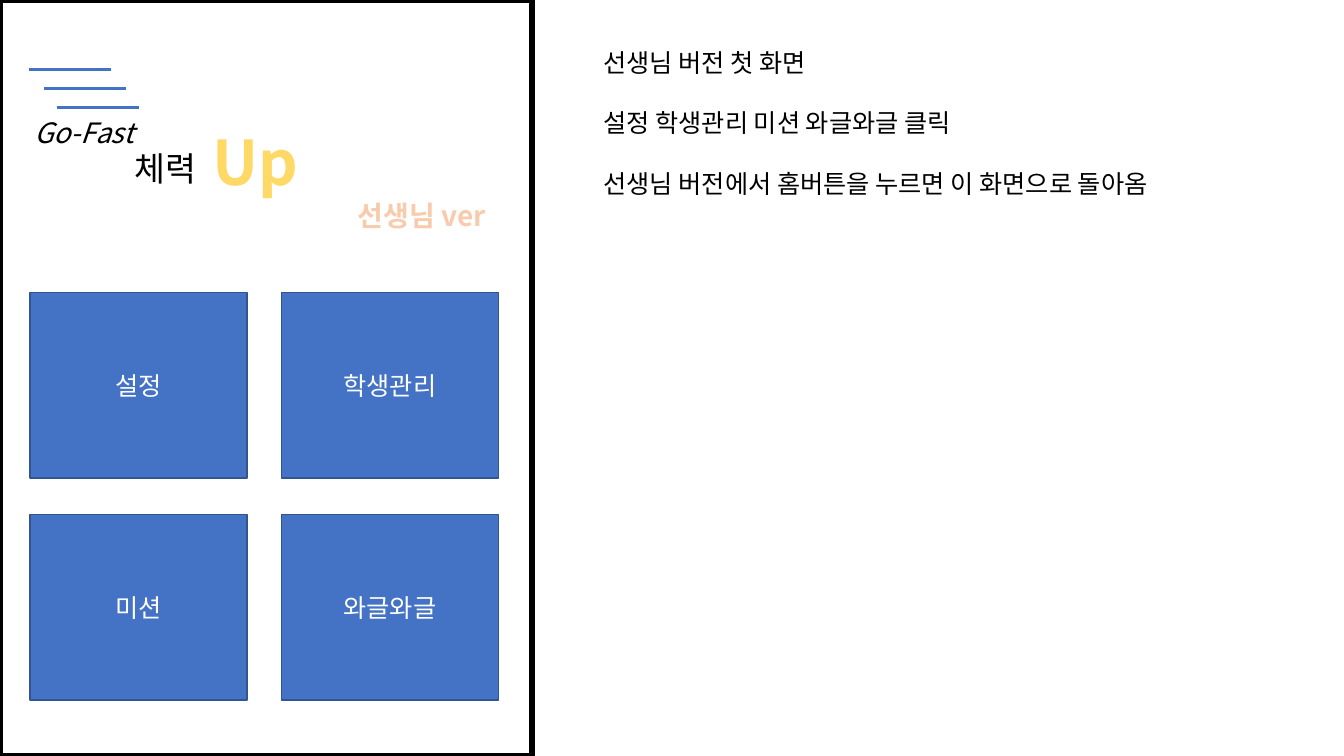
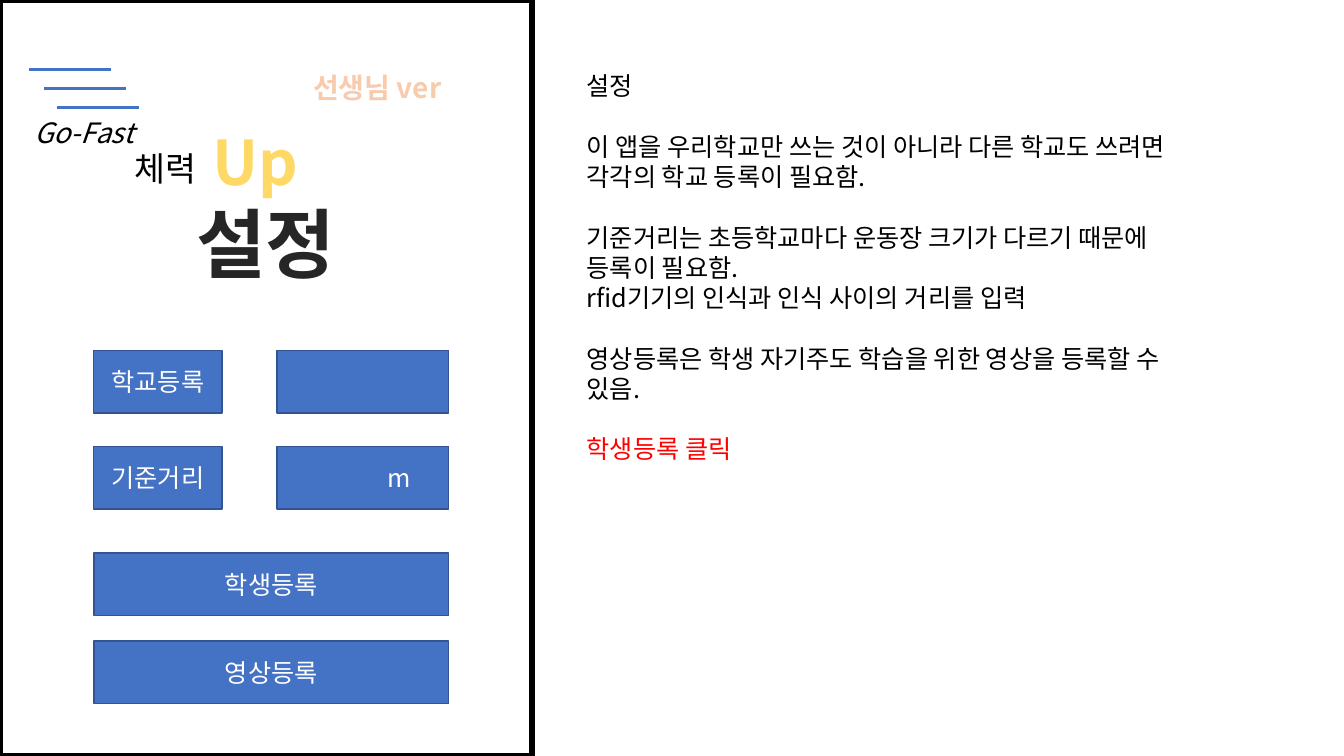
import pptx
import pptx.dml.color
import pptx.enum.shapes
import pptx.enum.text
import pptx.oxml
import pptx.oxml.ns
import pptx.util
from lxml import etree

Pt = pptx.util.Pt
RGBColor = pptx.dml.color.RGBColor
ALIGN = pptx.enum.text.PP_ALIGN
ANCHOR = pptx.enum.text.MSO_ANCHOR
RECTANGLE = pptx.enum.shapes.MSO_SHAPE.RECTANGLE
STRAIGHT = pptx.enum.shapes.MSO_CONNECTOR.STRAIGHT
qn = pptx.oxml.ns.qn

FONT = "Noto Sans CJK KR"
COLORS = {
    "black": "000000",
    "white": "FFFFFF",
    "blue": "4472C4",
    "blue_edge": "325491",
    "yellow": "FFD966",
    "peach": "F8CBAD",
    "dark": "262626",
    "red": "FF0000",
}
STYLES = {
    "button": ({"size": Pt(18), "bold": False}, "white", ALIGN.CENTER),
    "note": ({"size": Pt(18)}, "black", ALIGN.LEFT),
    "version": ({"size": Pt(20), "bold": True}, "peach", ALIGN.CENTER),
    "title": ({"size": Pt(54), "bold": True}, "dark", ALIGN.CENTER),
    "fitness": ({"size": Pt(24)}, "black", ALIGN.CENTER),
    "up": ({"size": Pt(44), "bold": True}, "yellow", ALIGN.CENTER),
    "pass": ({"size": Pt(20), "italic": True}, "black", ALIGN.LEFT),
}
VERSION = "선생님 ver"
BUTTON_SIZE = (155, 132.5)
BUTTON_PITCH = (179.5, 158.5)
FIELD_HEIGHT = 44.5
NOTE_GAP = 21.6

# Each note is (text, space before, colour).
SCREENS = [
    {
        "title": (VERSION, "version", (240, 138, 123, 32)),
        "version_box": None,
        "notes_box": (424, 30, 495, 117),
        "notes": [
            ("선생님 버전 첫 화면", 0, "black"),
            ("설정 학생관리 미션 와글와글 클릭", NOTE_GAP, "black"),
            ("선생님 버전에서 홈버튼을 누르면 이 화면으로 돌아옴", NOTE_GAP, "black"),
        ],
        "buttons": [
            (label, 21.5 + index % 2 * BUTTON_PITCH[0],
             209 + index // 2 * BUTTON_PITCH[1], *BUTTON_SIZE)
            for index, label in enumerate(["설정", "학생관리", "미션", "와글와글"])
        ],
    },
    {
        "title": ("설정", "title", (128, 137, 124, 73)),
        "version_box": (208, 47, 123, 32),
        "notes_box": (412, 47, 456, 291),
        "notes": [
            ("설정", 0, "black"),
            ("이 앱을 우리학교만 쓰는 것이 아니라 다른 학교도 쓰려면 각각의 학교 등록이 필요함.",
             NOTE_GAP, "black"),
            ("기준거리는 초등학교마다 운동장 크기가 다르기 때문에 등록이 필요함.", NOTE_GAP, "black"),
            ("rfid기기의 인식과 인식 사이의 거리를 입력", 0, "black"),
            ("영상등록은 학생 자기주도 학습을 위한 영상을 등록할 수 있음.", NOTE_GAP, "black"),
            ("학생등록 클릭", NOTE_GAP, "red"),
        ],
        "buttons": [
            ("학교등록", 67, 250.5, 91.5, FIELD_HEIGHT),
            ("", 198, 250.5, 122.5, FIELD_HEIGHT),
            ("기준거리", 67, 319, 91.5, FIELD_HEIGHT),
            ("m", 198, 319, 122.5, FIELD_HEIGHT),
            ("학생등록", 67, 395, 253.5, FIELD_HEIGHT),
            ("영상등록", 67, 458, 253.5, FIELD_HEIGHT),
        ],
    },
]


def write_text(shape, style, lines, anchor=ANCHOR.TOP):
    """Fill a shape with (text, space before, colour) lines; colour None keeps the style's."""
    font_values, style_color, alignment = STYLES[style]
    frame = shape.text_frame
    frame.auto_size = pptx.enum.text.MSO_AUTO_SIZE.NONE
    frame.word_wrap = True
    frame.vertical_anchor = anchor
    for index, (text, gap, color) in enumerate(lines):
        paragraph = frame.add_paragraph() if index else frame.paragraphs[0]
        paragraph.alignment = alignment
        paragraph.space_before = Pt(gap)
        run = paragraph.add_run()
        run.text = text
        for name, value in font_values.items():
            setattr(run.font, name, value)
        run.font.color.rgb = RGBColor.from_string(COLORS[color or style_color])
        run.font.name = FONT
        east_asian = etree.SubElement(run.font._element, qn("a:ea"))
        east_asian.set("typeface", FONT)


def add_box(shapes, box, fill, line, line_width):
    rectangle = shapes.add_shape(RECTANGLE, *map(Pt, box))
    rectangle.shadow.inherit = False
    if fill:
        rectangle.fill.solid()
        rectangle.fill.fore_color.rgb = RGBColor.from_string(COLORS[fill])
    else:
        rectangle.fill.background()
    rectangle.line.color.rgb = RGBColor.from_string(COLORS[line])
    rectangle.line.width = Pt(line_width)
    return rectangle


presentation = pptx.Presentation()
presentation.slide_width = Pt(960)
presentation.slide_height = Pt(540)
title_only = presentation.slide_layouts[5]

for screen in SCREENS:
    slide = presentation.slides.add_slide(title_only)
    shapes = slide.shapes

    # Phone screen and its heading
    add_box(shapes, (0, 0, 380, 540), None, "black", 4.5)
    title_text, title_style, title_box = screen["title"]
    title = shapes.title
    for name, value in zip(("left", "top", "width", "height"), title_box):
        setattr(title, name, Pt(value))
    write_text(title, title_style, [(title_text, 0, None)])
    if screen["version_box"]:
        version = shapes.add_textbox(*map(Pt, screen["version_box"]))
        write_text(version, "version", [(VERSION, 0, None)])

    # Buttons and input fields
    for label, *box in screen["buttons"]:
        button = add_box(shapes, box, "blue", "blue_edge", 1)
        if label:
            write_text(button, "button", [(label, 0, None)], ANCHOR.MIDDLE)
        if label == "m":
            button.text_frame.paragraphs[0].alignment = ALIGN.RIGHT
            button.text_frame.margin_right = Pt(27)

    # Explanation beside the screen
    notes = shapes.add_textbox(*map(Pt, screen["notes_box"]))
    write_text(notes, "note", screen["notes"])

    # App name with speed lines
    app_name = shapes.add_group_shape()
    for text, style, box in [
        ("체력", "fitness", (86, 102, 64, 36)),
        ("Up", "up", (143, 85, 79, 60)),
        ("Go-Fast", "pass", (17.5, 79, 91, 32)),
    ]:
        word = app_name.shapes.add_textbox(*map(Pt, box))
        write_text(word, style, [(text, 0, None)])
    for left, top in [(21, 49.5), (31.5, 63.5), (40.5, 77)]:
        speed_line = app_name.shapes.add_connector(
            STRAIGHT, Pt(left), Pt(top), Pt(left + 58.5), Pt(top))
        speed_line.line.color.rgb = RGBColor.from_string(COLORS["blue"])
        speed_line.line.width = Pt(2)
        etree.SubElement(speed_line._element.spPr, qn("a:effectLst"))

presentation.save("out.pptx")
